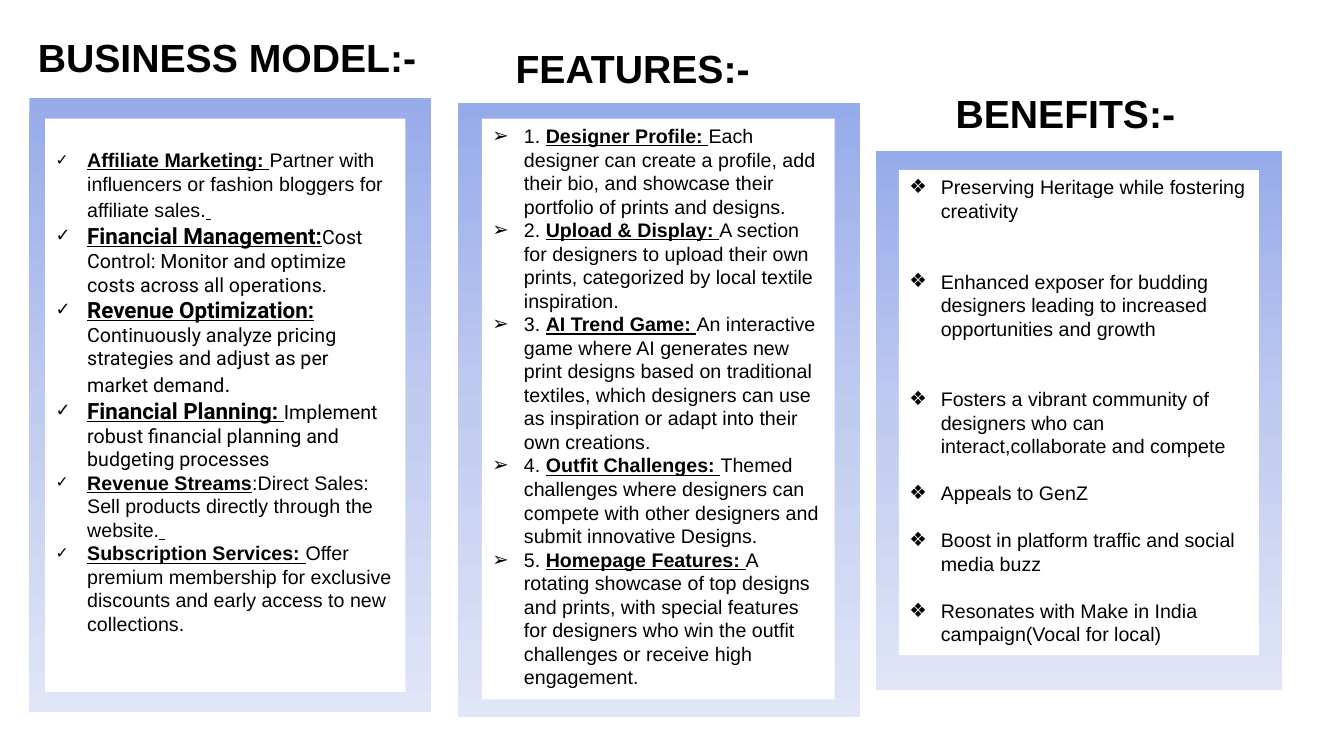
from copy import deepcopy
from dataclasses import dataclass, field
from lxml.etree import SubElement
from pptx import Presentation
from pptx.dml.color import RGBColor
from pptx.enum.shapes import MSO_SHAPE
from pptx.enum.text import MSO_ANCHOR, MSO_AUTO_SIZE, PP_ALIGN
from pptx.oxml.ns import qn
from pptx.util import Pt

PX = 9525
LINE = 16.8


@dataclass
class Theme:
    """Colours, type styles and frame formats of the slide."""
    ink: str = "000000"
    card: str = "FFFFFF"
    fade: tuple = ((0, "96ABEA"), (0.5, "C0CBF0"), (1, "E0E5F7"))
    type: dict = field(default_factory=lambda: {
        "head": dict(name="Arial", size=Pt(28), bold=True, underline=False),
        "text": dict(name="Arial", size=Pt(14), bold=False, underline=False),
        "key": dict(name="Arial", size=Pt(14), bold=True, underline=True),
        "soft": dict(name="Roboto", size=Pt(14), bold=False, underline=False),
        "stop": dict(name="Roboto", size=Pt(16), bold=False, underline=False),
        "lead": dict(name="Roboto", size=Pt(16), bold=True, underline=True),
    })
    frame: dict = field(default_factory=lambda: dict(
        word_wrap=True, auto_size=MSO_AUTO_SIZE.NONE, vertical_anchor=MSO_ANCHOR.TOP,
        margin_left=10 * PX, margin_right=10 * PX, margin_top=5 * PX, margin_bottom=5 * PX))
    para: dict = field(default_factory=lambda: dict(
        alignment=PP_ALIGN.LEFT, line_spacing=1.0, space_before=Pt(0), space_after=Pt(0)))


def put(obj, form):
    """Set each attribute in form on obj."""
    for name, val in form.items():
        setattr(obj, name, val)


class Deck:
    """Draws the parts of one slide in one style."""

    def __init__(self, theme, wide, high):
        """Open a deck with one slide of the given size."""
        self.theme = theme
        self.file = Presentation()
        put(self.file, dict(slide_width=wide * PX, slide_height=high * PX))
        self.slide = self.file.slides.add_slide(self.file.slide_layouts[4])
        self.slots = list(self.slide.placeholders)
        self.title, self.lists = self.slots[0], self.slots[1:]

    def place(self, shape, box):
        """Move shape to box and bring it to the front."""
        put(shape, dict(zip(("left", "top", "width", "height"), (n * PX for n in box))))
        self.slide.shapes._spTree.append(shape._element)

    def text(self, para, runs):
        """Fill a paragraph with styled runs."""
        put(para, self.theme.para)
        for words, style in runs:
            run = para.add_run()
            run.text = words
            put(run.font, self.theme.type[style])
            run.font.color.rgb = RGBColor.from_string(self.theme.ink)

    def panel(self, box):
        """Draw a shaded panel."""
        shape = self.slide.shapes.add_shape(MSO_SHAPE.RECTANGLE, *(n * PX for n in box))
        shape.shadow.inherit = False
        shape.line.fill.background()
        fill = shape.fill
        fill.gradient()
        fill.gradient_angle = 270
        first = fill.gradient_stops[0]._gs
        first.getparent().insert(1, deepcopy(first))
        for stop, (pos, tint) in zip(fill.gradient_stops, self.theme.fade):
            stop.position = pos
            stop.color.rgb = RGBColor.from_string(tint)

    def head(self, words, box, shape=None):
        """Set a heading in a placeholder or a text box."""
        shape = shape or self.slide.shapes.add_textbox(0, 0, 0, 0)
        self.place(shape, box)
        put(shape.text_frame, self.theme.frame)
        self.text(shape.text_frame.paragraphs[0], [(words, "head")])

    def items(self, shape, box, mark, scale, top, rows):
        """Set a bullet list on a plain card."""
        self.place(shape, box)
        shape.fill.solid()
        shape.fill.fore_color.rgb = RGBColor.from_string(self.theme.card)
        frame = shape.text_frame
        put(frame, self.theme.frame)
        frame.margin_top = top * PX
        for i, (gap, runs) in enumerate(rows):
            para = frame.add_paragraph() if i else frame.paragraphs[0]
            self.text(para, runs)
            para.space_before = Pt(gap * LINE)
            props = para._p.get_or_add_pPr()
            props.set("marL", str(30 * PX))
            props.set("indent", str(-30 * PX))
            tint = SubElement(props, qn("a:buClr"))
            SubElement(tint, qn("a:srgbClr"), val=self.theme.ink)
            SubElement(props, qn("a:buSzPct"), val=str(scale * 1000))
            SubElement(props, qn("a:buChar"), char=mark)

    def save(self):
        """Drop empty placeholders and save the file."""
        for slot in self.slots:
            if not slot.text_frame.text:
                slot._element.getparent().remove(slot._element)
        self.file.save("out.pptx")


MODEL = [
    [("Affiliate Marketing: ", "key"),
     ("Partner with influencers or fashion bloggers for affiliate sales.", "text"), (" ", "lead")],
    [("Financial Management:", "lead"),
     ("Cost Control: Monitor and optimize costs across all operations.", "soft")],
    [("Revenue Optimization:", "lead"),
     (" Continuously analyze pricing strategies and adjust as per market demand", "soft"),
     (".", "stop")],
    [("Financial Planning: ", "lead"),
     ("Implement robust financial planning and budgeting processes", "soft")],
    [("Revenue Streams", "key"),
     (":Direct Sales: Sell products directly through the website.", "text"), (" ", "key")],
    [("Subscription Services: ", "key"),
     ("Offer premium membership for exclusive discounts and early access to new collections.",
      "text")],
]
FEATURES = [
    ("Designer Profile: ", "Each designer can create a profile, add their bio, and showcase "
     "their portfolio of prints and designs."),
    ("Upload & Display: ", "A section for designers to upload their own prints, categorized "
     "by local textile inspiration."),
    ("AI Trend Game: ", "An interactive game where AI generates new print designs based on "
     "traditional textiles, which designers can use as inspiration or adapt into their own "
     "creations."),
    ("Outfit Challenges: ", "Themed challenges where designers can compete with other "
     "designers and submit innovative Designs."),
    ("Homepage Features: ", "A rotating showcase of top designs and prints, with special "
     "features for designers who win the outfit challenges or receive high engagement."),
]
BENEFITS = [
    (0, "Preserving Heritage while fostering creativity"),
    (2, "Enhanced exposer for budding designers leading to increased opportunities and growth"),
    (2, "Fosters a vibrant community of designers who can interact,collaborate and compete"),
    (1, "Appeals to GenZ"),
    (1, "Boost in platform traffic and social media buzz"),
    (1, "Resonates with Make in India campaign(Vocal for local)"),
]


def main():
    """Build the slide."""
    deck = Deck(Theme(), 1280, 720)
    for box in ((28, 93, 383, 585), (436, 98, 383, 585), (834, 144, 387, 513)):
        deck.panel(box)
    deck.head("BUSINESS MODEL:-", (26, 27, 387, 55), deck.title)
    deck.head("FEATURES:-", (481, 37, 387, 55))
    deck.head("BENEFITS:-", (900, 80, 387, 55))
    model = [(0, runs) for runs in MODEL]
    feats = [(0, [(f"{n}. ", "text"), (key, "key"), (words, "text")])
             for n, (key, words) in enumerate(FEATURES, 1)]
    gains = [(gap, [(words, "text")]) for gap, words in BENEFITS]
    deck.items(deck.lists[0], (43, 113, 343, 546), "✓", 80, 28, model)
    deck.items(deck.lists[1], (459, 113, 336, 553), "➢", 100, 5, feats)
    deck.items(deck.lists[2], (856, 162, 343, 462), "❖", 100, 5, gains)
    deck.save()


if __name__ == "__main__":
    main()
